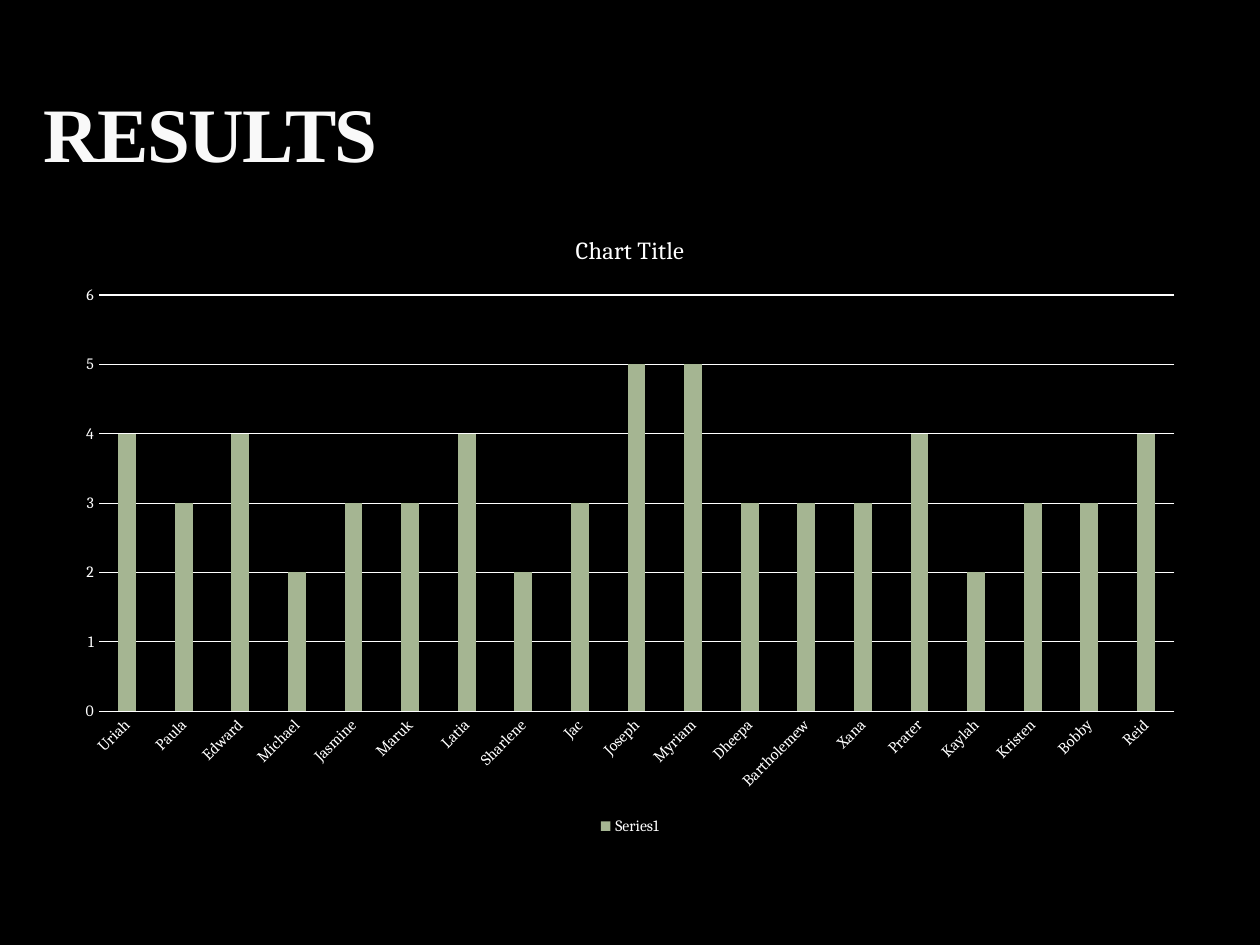
import pptx
import pptx.chart.data
import pptx.dml.color
import pptx.enum.chart
import pptx.enum.text
import pptx.oxml
import pptx.oxml.ns
import pptx.util
from pptx.util import Inches

COLORS = {
    "background": "000000",
    "heading": "F9F9F9",
    "outline": "3C4422",
    "chart_text": "FFFFFF",
    "bars": "A5B592",
}
RESULTS = {
    "Uriah": 4, "Paula": 3, "Edward": 4, "Michael": 2, "Jasmine": 3,
    "Maruk": 3, "Latia": 4, "Sharlene": 2, "Jac": 3, "Joseph": 5,
    "Myriam": 5, "Dheepa": 3, "Bartholemew": 3, "Xana": 3, "Prater": 4,
    "Kaylah": 2, "Kristen": 3, "Bobby": 3, "Reid": 4,
}


def rgb(name):
    return pptx.dml.color.RGBColor.from_string(COLORS[name])


def style_font(font, face, size, color, bold=False):
    font.name = face
    font.size = pptx.util.Pt(size)
    font.bold = bold
    font.color.rgb = rgb(color)


def style_line(line):
    line.color.rgb = rgb("chart_text")
    line.width = pptx.util.Pt(0.75)


def add_heading(page, left, top, width, height):
    box = page.shapes.add_textbox(left, top, width, height)
    frame = box.text_frame
    frame.word_wrap = True
    frame.vertical_anchor = pptx.enum.text.MSO_ANCHOR.BOTTOM
    frame.margin_bottom = Inches(0.75)
    frame.text = "RESULTS"
    span = frame.paragraphs[0].runs[0]
    style_font(span.font, "Times New Roman", 44, "heading", True)
    properties = span.font._element
    properties.set("spc", "-100")
    properties.insert(0, pptx.oxml.parse_xml(
        f'<a:ln {pptx.oxml.ns.nsdecls("a")} w="3175"><a:solidFill>'
        f'<a:srgbClr val="{COLORS["outline"]}"><a:alpha val="25000"/></a:srgbClr>'
        '</a:solidFill></a:ln>'))


def add_results_chart(page, left, top, width, height):
    data = pptx.chart.data.CategoryChartData()
    data.categories = list(RESULTS)
    data.add_series("Series1", list(RESULTS.values()))
    chart = page.shapes.add_chart(
        pptx.enum.chart.XL_CHART_TYPE.COLUMN_CLUSTERED,
        left, top, width, height, data).chart
    style_font(chart.font, "Cambria", 10, "chart_text")

    chart.has_title = True
    title = chart.chart_title
    title.text_frame.text = "Chart Title"
    title.include_in_layout = False
    style_font(title.text_frame.paragraphs[0].runs[0].font, "Cambria", 14, "chart_text")

    chart.has_legend = True
    legend = chart.legend
    legend.position = pptx.enum.chart.XL_LEGEND_POSITION.BOTTOM
    legend.include_in_layout = False
    style_font(legend.font, "Cambria", 9, "chart_text")

    for axis in (chart.category_axis, chart.value_axis):
        axis.major_tick_mark = pptx.enum.chart.XL_TICK_MARK.NONE
        axis.minor_tick_mark = pptx.enum.chart.XL_TICK_MARK.NONE
        style_font(axis.tick_labels.font, "Cambria", 9, "chart_text")
    style_line(chart.category_axis.format.line)
    labels = chart.category_axis._element.find(pptx.oxml.ns.qn("c:txPr"))
    labels.find(pptx.oxml.ns.qn("a:bodyPr")).set("rot", "-2700000")

    values = chart.value_axis
    values.minimum_scale = 0
    values.maximum_scale = 6
    values.major_unit = 1
    values.format.line.fill.background()
    style_line(values.major_gridlines.format.line)

    plot = chart.plots[0]
    plot.vary_by_categories = False
    plot.gap_width = 219
    plot.overlap = -27
    fill = plot.series[0].format.fill
    fill.solid()
    fill.fore_color.rgb = rgb("bars")


def main():
    deck = pptx.Presentation()
    deck.slide_width = Inches(10)
    deck.slide_height = Inches(7.5)
    page = deck.slides.add_slide(deck.slide_layouts[6])
    page.background.fill.solid()
    page.background.fill.fore_color.rgb = rgb("background")
    add_heading(page, Inches(0.25), Inches(0.58), Inches(9.17), Inches(1.58))
    add_results_chart(page, Inches(0.5), Inches(1.67), Inches(9), Inches(5))
    deck.save("out.pptx")


if __name__ == "__main__":
    main()
